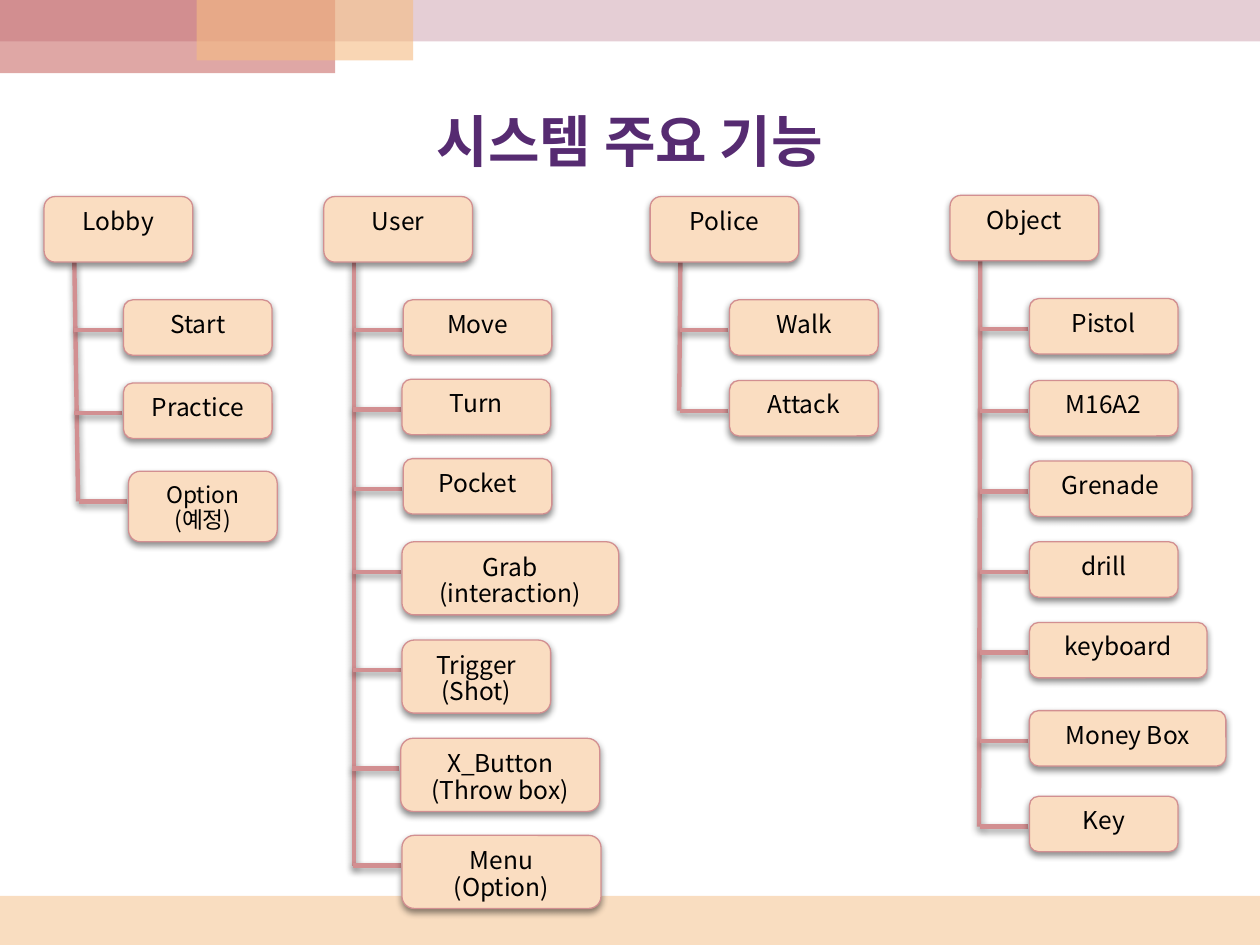
"""Build the slide of main system functions as four trees of labelled boxes."""
from dataclasses import dataclass

from lxml import etree
from pptx import Presentation
from pptx import util as u
from pptx.dml.color import RGBColor
from pptx.enum import shapes, text
from pptx.oxml import ns

PX = u.Inches(1) // 100
FONT = "Noto Sans CJK KR"
COLORS = {"peach": "F5BC83", "mauve": "CC9EAC", "red": "C0504D", "title": "562B71",
          "box": "FADDC1", "line": "D28F91", "text": "000000", "shadow": "000000"}
HEADER_WIDTH, HEADER_HEIGHT = 118, 52
TRUNK_INSET = 24
BRANCH_DROP, BRANCH_LENGTH = 24, 38


@dataclass
class Band:
    left: int
    top: int
    width: int
    height: int
    color: str
    opacity: int


@dataclass
class Box:
    label: str
    left: int
    top: int
    width: int = 118
    height: int = 44


@dataclass
class Tree:
    header: Box
    foot: int
    children: list[Box]


BANDS = [
    Band(0, 711, 1000, 39, "peach", 50),
    Band(0, 0, 1000, 33, "mauve", 50),
    Band(0, 0, 266, 58, "red", 50),
    Band(156, 0, 172, 48, "peach", 60),
]


def header(label: str, left: int, top: int = 156) -> Box:
    return Box(label, left, top, HEADER_WIDTH, HEADER_HEIGHT)


TREES = [
    Tree(header("Lobby", 35), 62, [
        Box("Start", 98, 238),
        Box("Practice", 98, 304),
        Box("Option\n(예정)", 102, 374, height=56),
    ]),
    Tree(header("User", 257), 281, [
        Box("Move", 320, 238),
        Box("Turn", 319, 301),
        Box("Pocket", 320, 364),
        Box("Grab\n(interaction)", 319, 430, 172, 58),
        Box("Trigger\n(Shot)", 319, 508, height=58),
        Box("X_Button\n(Throw box)", 318, 586, 158, 58),
        Box("Menu\n(Option)", 319, 663, 158, 58),
    ]),
    Tree(header("Police", 516), 539, [
        Box("Walk", 579, 238),
        Box("Attack", 579, 302),
    ]),
    Tree(header("Object", 754, 155), 777, [
        Box("Pistol", 817, 237),
        Box("M16A2", 817, 302),
        Box("Grenade", 817, 366, 129),
        Box("drill", 817, 430),
        Box("keyboard", 817, 494, 141),
        Box("Money Box", 817, 564, 156),
        Box("Key", 817, 632),
    ]),
]


def rgb(name: str) -> RGBColor:
    return RGBColor.from_string(COLORS[name])


def set_all(target, values: dict) -> None:
    for name, value in values.items():
        setattr(target, name, value)


def add_alpha(color, percent: int) -> None:
    etree.SubElement(color, ns.qn("a:alpha"), val=str(percent * 1000))


def add_shadow(shape) -> None:
    properties = shape._element.spPr
    effects = properties.find(ns.qn("a:effectLst"))
    if effects is None:
        effects = etree.SubElement(properties, ns.qn("a:effectLst"))
    shadow = etree.SubElement(effects, ns.qn("a:outerShdw"), blurRad=str(u.Pt(4)),
                              dist=str(u.Pt(2)), dir="5400000", rotWithShape="0")
    color = etree.SubElement(shadow, ns.qn("a:srgbClr"), val=COLORS["shadow"])
    add_alpha(color, 45)


def format_text(frame, size: int, color: str, bold: bool) -> None:
    for paragraph in frame.paragraphs:
        paragraph.alignment = text.PP_ALIGN.CENTER
        for run in paragraph.runs:
            set_all(run.font, {"name": FONT, "size": u.Pt(size), "bold": bold})
            run.font.color.rgb = rgb(color)
            latin = run._r.rPr.find(ns.qn("a:latin"))
            latin.addnext(etree.Element(ns.qn("a:ea"), typeface=FONT))


def add_filled(slide, kind, area: Band | Box, color: str):
    shape = slide.shapes.add_shape(kind, area.left * PX, area.top * PX,
                                   area.width * PX, area.height * PX)
    shape.shadow.inherit = False
    shape.fill.solid()
    shape.fill.fore_color.rgb = rgb(color)
    return shape


def add_band(slide, band: Band) -> None:
    shape = add_filled(slide, shapes.MSO_SHAPE.RECTANGLE, band, band.color)
    shape.line.fill.background()
    add_alpha(shape._element.spPr.find(".//" + ns.qn("a:srgbClr")), band.opacity)


def set_line(shape, width: float) -> None:
    shape.line.color.rgb = rgb("line")
    shape.line.width = u.Pt(width)
    add_shadow(shape)


def add_box(slide, box: Box) -> None:
    shape = add_filled(slide, shapes.MSO_SHAPE.ROUNDED_RECTANGLE, box, "box")
    set_line(shape, 0.75)
    frame = shape.text_frame
    frame.text = box.label
    set_all(frame, {"word_wrap": True, "vertical_anchor": text.MSO_ANCHOR.TOP,
                    "auto_size": text.MSO_AUTO_SIZE.TEXT_TO_FIT_SHAPE})
    format_text(frame, 14, "text", False)


def add_line(slide, x1: int, y1: int, x2: int, y2: int) -> None:
    connector = slide.shapes.add_connector(shapes.MSO_CONNECTOR.STRAIGHT,
                                           x1 * PX, y1 * PX, x2 * PX, y2 * PX)
    set_line(connector, 2.5)


def add_tree(slide, tree: Tree) -> None:
    top = tree.header
    add_line(slide, top.left + TRUNK_INSET, top.top + top.height,
             tree.foot, tree.children[-1].top + BRANCH_DROP)
    add_box(slide, top)
    for child in tree.children:
        start, level = child.left - 1, child.top + BRANCH_DROP
        add_line(slide, start, level, start - BRANCH_LENGTH, level)
        add_box(slide, child)


def add_title(slide, label: str) -> None:
    title = slide.shapes.title
    set_all(title, {"left": 50 * PX, "top": 59 * PX, "width": 900 * PX, "height": 105 * PX})
    title.text_frame.text = label
    title.text_frame.vertical_anchor = text.MSO_ANCHOR.MIDDLE
    format_text(title.text_frame, 32, "title", True)


def main() -> None:
    presentation = Presentation()
    set_all(presentation, {"slide_width": 1000 * PX, "slide_height": 750 * PX})
    slide = presentation.slides.add_slide(presentation.slide_layouts[5])
    for band in BANDS:
        add_band(slide, band)
    add_title(slide, "시스템 주요 기능")
    for tree in TREES:
        add_tree(slide, tree)
    presentation.save("out.pptx")


if __name__ == "__main__":
    main()
